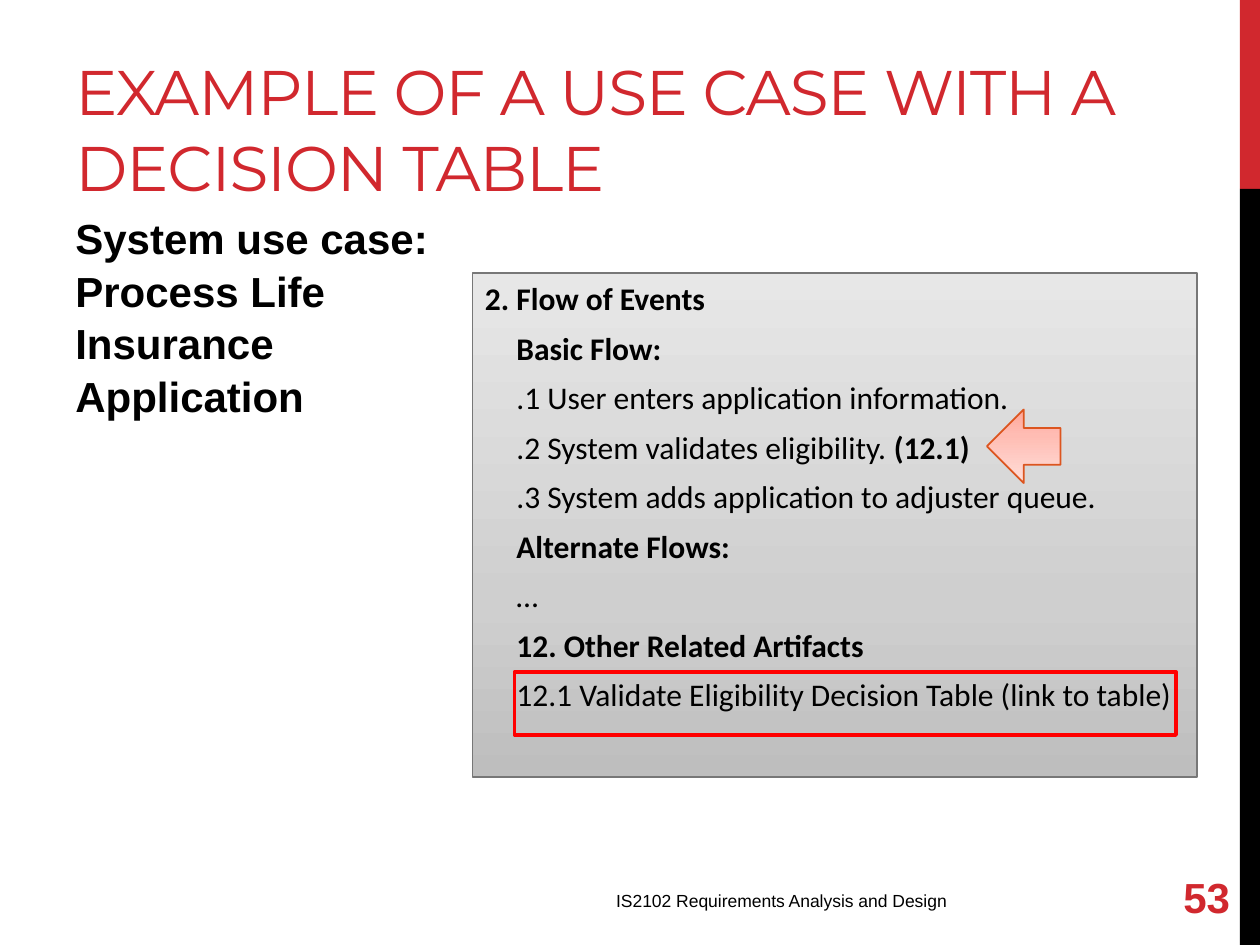
from dataclasses import dataclass

from lxml import etree
from pptx import Presentation
from pptx.dml.color import RGBColor
from pptx.enum.shapes import MSO_SHAPE as Preset
from pptx.enum.text import MSO_ANCHOR as Anchor, PP_ALIGN as Align
from pptx.oxml.ns import qn
from pptx.util import Pt


@dataclass(frozen=True)
class Theme:
    red: str = "D1282E"
    black: str = "000000"
    highlight: str = "FF0000"
    panel_line: str = "777777"
    panel_stops: tuple = ((0, "BEBEBE"), (35, "CFCFCF"), (100, "E7E7E7"))
    arrow_line: str = "DC551F"
    arrow_stops: tuple = ((0, "FFA698"), (35, "FFBCB3"), (100, "FFDED9"))
    heading_font: str = "Montserrat"
    text_font: str = "Arial"
    panel_font: str = "Calibri"
    title_size: float = 36
    body_size: float = 24
    panel_size: float = 18
    footer_size: float = 10


THEME = Theme()

# Each row: indent level, then (text, bold) runs
FLOW_OF_EVENTS = [
    (0, [("2. Flow of Events", True)]),
    (1, [("Basic Flow:", True)]),
    (1, [(".1 User enters application information.", False)]),
    (1, [(".2 System validates eligibility. ", False), ("(12.1)", True)]),
    (1, [(".3 System adds application to adjuster queue.", False)]),
    (1, [("Alternate Flows:", True)]),
    (1, [("…", False)]),
    (1, [("12. Other Related Artifacts", True)]),
    (2, [("12.1 Validate Eligibility Decision Table (link to table)", False)]),
]


def add_run(paragraph, text, font, size, color, bold=False):
    run = paragraph.add_run()
    run.text = text
    run.font.name = font
    run.font.size = Pt(size)
    run.font.bold = bold
    run.font.color.rgb = RGBColor.from_string(color)
    return run


def add_text(slide, box, text, font, size, color, bold=False,
             anchor=Anchor.TOP, align=Align.LEFT):
    frame = slide.shapes.add_textbox(*map(Pt, box)).text_frame
    frame.word_wrap = True
    frame.vertical_anchor = anchor
    paragraph = frame.paragraphs[0]
    paragraph.alignment = align
    add_run(paragraph, text, font, size, color, bold)
    return paragraph


def set_gradient(shape, stops):
    """Gradient that runs from the bottom of the shape to its top."""
    shape.fill.gradient()
    shape.fill.gradient_angle = 90
    stop_list = shape._element.spPr.find(qn("a:gradFill")).find(qn("a:gsLst"))
    for old_stop in list(stop_list):
        stop_list.remove(old_stop)
    for position, color in stops:
        stop = etree.SubElement(stop_list, qn("a:gs"), pos=str(position * 1000))
        etree.SubElement(stop, qn("a:srgbClr"), val=color)


def add_box(slide, preset, box, fill=None, stops=None, line=None, width=1):
    shape = slide.shapes.add_shape(preset, *map(Pt, box))
    shape.shadow.inherit = False
    if stops:
        set_gradient(shape, stops)
    elif fill:
        shape.fill.solid()
        shape.fill.fore_color.rgb = RGBColor.from_string(fill)
    else:
        shape.fill.background()
    if line:
        shape.line.color.rgb = RGBColor.from_string(line)
        shape.line.width = Pt(width)
    else:
        shape.line.fill.background()
    return shape


def fill_panel(panel, rows):
    frame = panel.text_frame
    frame.word_wrap = True
    frame.vertical_anchor = Anchor.TOP
    for index, (level, runs) in enumerate(rows):
        paragraph = frame.add_paragraph() if index else frame.paragraphs[0]
        paragraph.alignment = Align.LEFT
        paragraph.level = level
        if index:
            paragraph.space_before = Pt(6.7)
        if level:
            properties = paragraph._p.get_or_add_pPr()
            properties.set("marL", str(Pt(72)))
            properties.set("indent", str(Pt(-54)))
        for text, bold in runs:
            add_run(paragraph, text, THEME.panel_font, THEME.panel_size,
                    THEME.black, bold)


def main():
    deck = Presentation()
    deck.slide_width, deck.slide_height = Pt(720), Pt(540)
    slide = deck.slides.add_slide(deck.slide_layouts[6])

    # Side bar
    add_box(slide, Preset.RECTANGLE, (708.5, 0, 11.5, 108), fill=THEME.red)
    add_box(slide, Preset.RECTANGLE, (708.5, 108, 11.5, 432), fill=THEME.black)

    # Title and use case name
    title = add_text(slide, (36, 12, 666, 108),
                     "EXAMPLE OF A USE CASE WITH A DECISION TABLE",
                     THEME.heading_font, THEME.title_size, THEME.red,
                     anchor=Anchor.BOTTOM)
    title.runs[0]._r.get_or_add_rPr().set("spc", "-60")
    use_case = add_text(slide, (36, 117, 246, 356),
                        "System use case: Process Life Insurance Application",
                        THEME.text_font, THEME.body_size, THEME.black, bold=True)
    use_case.line_spacing = 1.04

    # Footer
    add_text(slide, (345, 505, 249, 29), "IS2102 Requirements Analysis and Design",
             THEME.text_font, THEME.footer_size, THEME.black)

    # Flow of events
    flow = add_box(slide, Preset.RECTANGLE, (270, 156, 414, 288),
                   stops=THEME.panel_stops, line=THEME.panel_line)
    fill_panel(flow, FLOW_OF_EVENTS)

    # Slide number
    add_text(slide, (606, 498, 104, 29), "53", THEME.text_font, THEME.body_size,
             THEME.red, bold=True, anchor=Anchor.MIDDLE, align=Align.RIGHT)

    # Highlight of the decision table and pointer to its reference
    add_box(slide, Preset.RECTANGLE, (294, 384, 378, 36),
            line=THEME.highlight, width=2.25)
    pointer = add_box(slide, Preset.RIGHT_ARROW, (564, 234, 42, 42),
                      stops=THEME.arrow_stops, line=THEME.arrow_line)
    pointer.rotation = 180

    deck.save("out.pptx")


if __name__ == "__main__":
    main()
